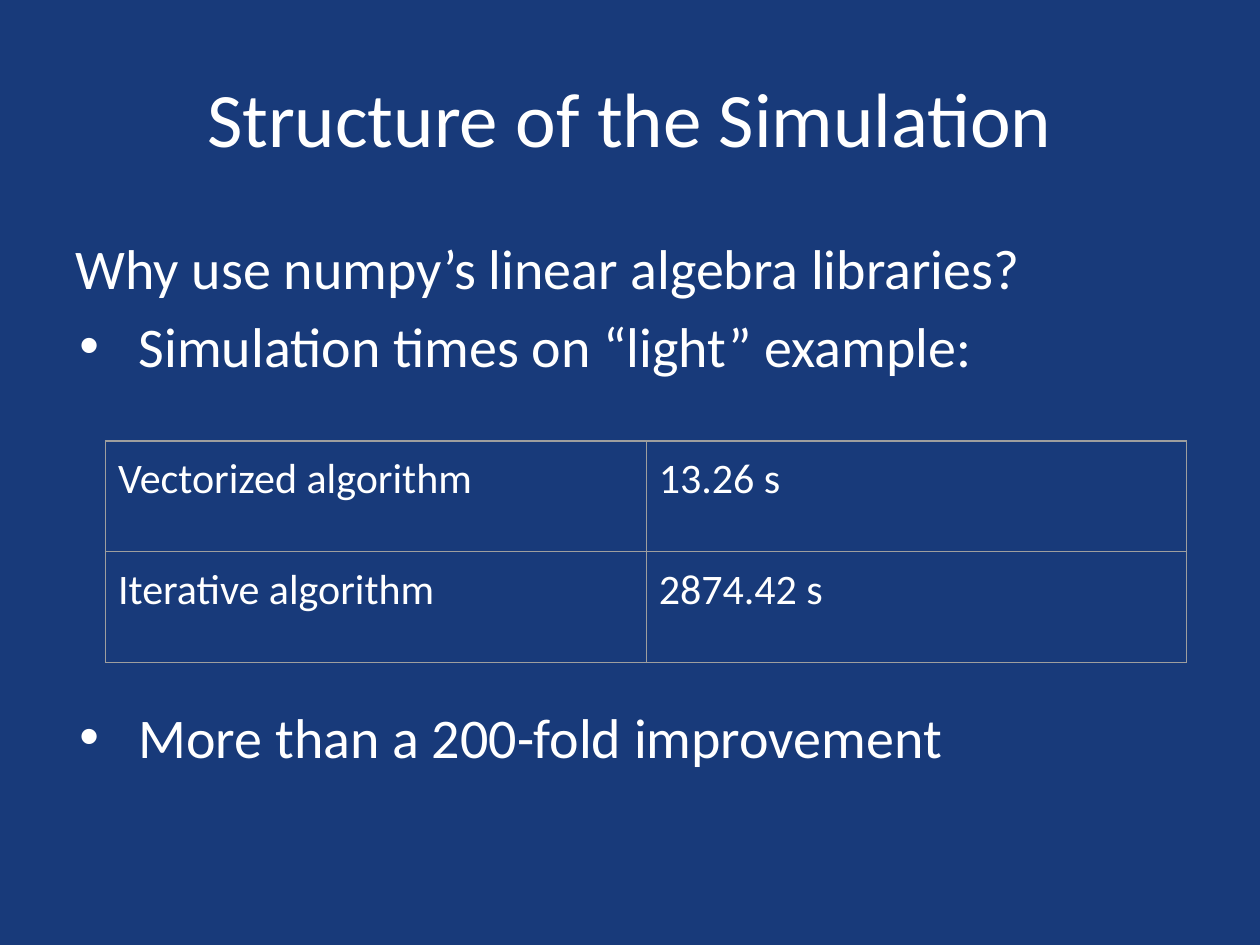
"""Build the slide comparing simulation times of two algorithms."""
from dataclasses import dataclass

import pptx
import pptx.dml.color
import pptx.enum.text
import pptx.oxml
import pptx.oxml.ns
import pptx.presentation
import pptx.shapes.autoshape
import pptx.slide
import pptx.table
import pptx.text.text
import pptx.util

NAVY = pptx.dml.color.RGBColor(0x18, 0x3A, 0x7A)
WHITE = pptx.dml.color.RGBColor(0xFF, 0xFF, 0xFF)
GRAY = pptx.dml.color.RGBColor(0x9E, 0x9E, 0x9E)
FONT = "Calibri"
INSET = pptx.util.Pt(7.2)
NAMESPACE = pptx.oxml.ns.nsdecls("a")


@dataclass(frozen=True)
class BodyLine:
    text: str
    bulleted: bool
    space_before: float = 6.4


BODY_LINES = (
    BodyLine("Why use numpy’s linear algebra libraries?", False),
    BodyLine("Simulation times on “light” example:", True),
    BodyLine("More than a 200-fold improvement", True, 185),
)
TIMES = (
    ("Vectorized algorithm", "13.26 s"),
    ("Iterative algorithm", "2874.42 s"),
)


def write_text(
    paragraph: pptx.text.text._Paragraph,
    text: str,
    *,
    size: float,
    alignment: pptx.enum.text.PP_ALIGN = pptx.enum.text.PP_ALIGN.LEFT,
    space_before: float = 0,
) -> None:
    paragraph.alignment = alignment
    paragraph.space_before = pptx.util.Pt(space_before)
    run = paragraph.add_run()
    run.text = text
    run.font.name = FONT
    run.font.size = pptx.util.Pt(size)
    run.font.color.rgb = WHITE


def set_bullet(paragraph: pptx.text.text._Paragraph, bulleted: bool) -> None:
    properties = paragraph._p.get_or_add_pPr()
    margin, indent = (36, -33.84) if bulleted else (0, 0)
    properties.set("marL", str(pptx.util.Pt(margin)))
    properties.set("indent", str(pptx.util.Pt(indent)))
    if bulleted:
        parts = (
            f'<a:buClr {NAMESPACE}><a:srgbClr val="{WHITE}"/></a:buClr>',
            f'<a:buFont {NAMESPACE} typeface="Arial"/>',
            f'<a:buChar {NAMESPACE} char="•"/>',
        )
    else:
        parts = (f"<a:buNone {NAMESPACE}/>",)
    for part in parts:
        properties.append(pptx.oxml.parse_xml(part))


def place_placeholder(
    shape: pptx.shapes.autoshape.Shape,
    left: float,
    top: float,
    width: float,
    height: float,
    anchor: pptx.enum.text.MSO_ANCHOR,
) -> pptx.text.text.TextFrame:
    shape.left, shape.top = pptx.util.Pt(left), pptx.util.Pt(top)
    shape.width, shape.height = pptx.util.Pt(width), pptx.util.Pt(height)
    frame = shape.text_frame
    frame.margin_left = frame.margin_right = INSET
    frame.margin_top = frame.margin_bottom = INSET
    frame.word_wrap = True
    frame.auto_size = pptx.enum.text.MSO_AUTO_SIZE.NONE
    frame.vertical_anchor = anchor
    return frame


def format_cell(cell: pptx.table._Cell, text: str) -> None:
    cell.margin_left = cell.margin_right = INSET
    cell.margin_top = cell.margin_bottom = INSET
    properties = cell._tc.get_or_add_tcPr()
    for side in ("lnL", "lnR", "lnT", "lnB"):
        properties.append(pptx.oxml.parse_xml(
            f'<a:{side} {NAMESPACE} w="{pptx.util.Pt(0.75)}"><a:solidFill>'
            f'<a:srgbClr val="{GRAY}"/></a:solidFill></a:{side}>'
        ))
    cell.fill.background()
    write_text(cell.text_frame.paragraphs[0], text, size=24)


def add_times_table(slide: pptx.slide.Slide) -> None:
    column_width, row_height = 309, 63.2
    table = slide.shapes.add_table(
        len(TIMES), len(TIMES[0]),
        pptx.util.Pt(60.3), pptx.util.Pt(252),
        pptx.util.Pt(column_width * len(TIMES[0])),
        pptx.util.Pt(row_height * len(TIMES)),
    ).table
    table.first_row = table.horz_banding = False
    for row, texts in zip(table.rows, TIMES):
        for cell, text in zip(row.cells, texts):
            format_cell(cell, text)


def main() -> None:
    presentation = pptx.Presentation()
    presentation.slide_width = pptx.util.Pt(720)
    presentation.slide_height = pptx.util.Pt(540)
    slide = presentation.slides.add_slide(presentation.slide_layouts[1])
    slide.background.fill.solid()
    slide.background.fill.fore_color.rgb = NAVY

    title = place_placeholder(
        slide.shapes.title, 36, 21.6, 648, 90, pptx.enum.text.MSO_ANCHOR.MIDDLE
    )
    write_text(
        title.paragraphs[0], "Structure of the Simulation",
        size=44, alignment=pptx.enum.text.PP_ALIGN.CENTER,
    )

    body = place_placeholder(
        slide.placeholders[1], 36, 126, 648, 356.4, pptx.enum.text.MSO_ANCHOR.TOP
    )
    for index, line in enumerate(BODY_LINES):
        paragraph = body.add_paragraph() if index else body.paragraphs[0]
        set_bullet(paragraph, line.bulleted)
        write_text(paragraph, line.text, size=32, space_before=line.space_before)

    add_times_table(slide)
    presentation.save("out.pptx")


if __name__ == "__main__":
    main()
